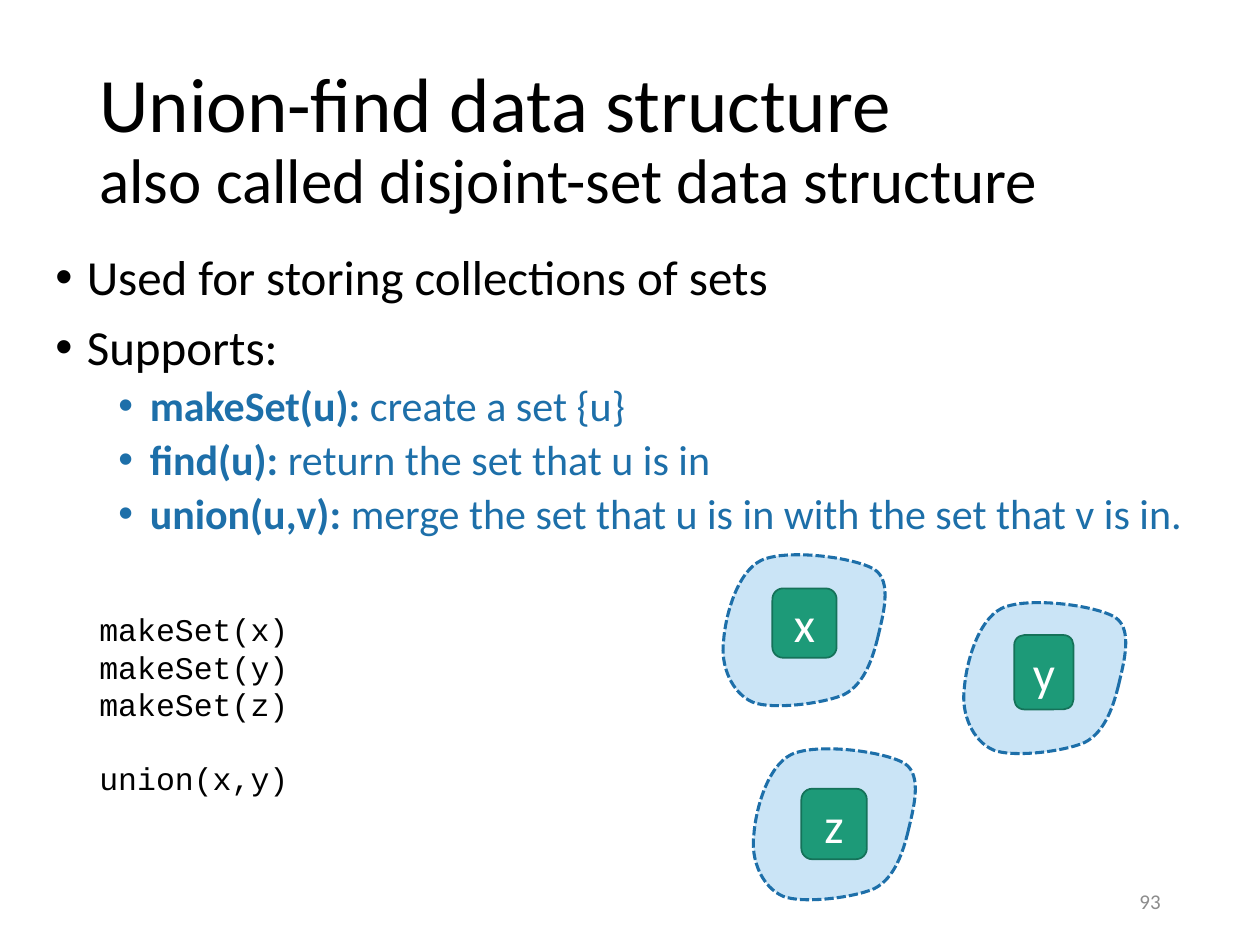
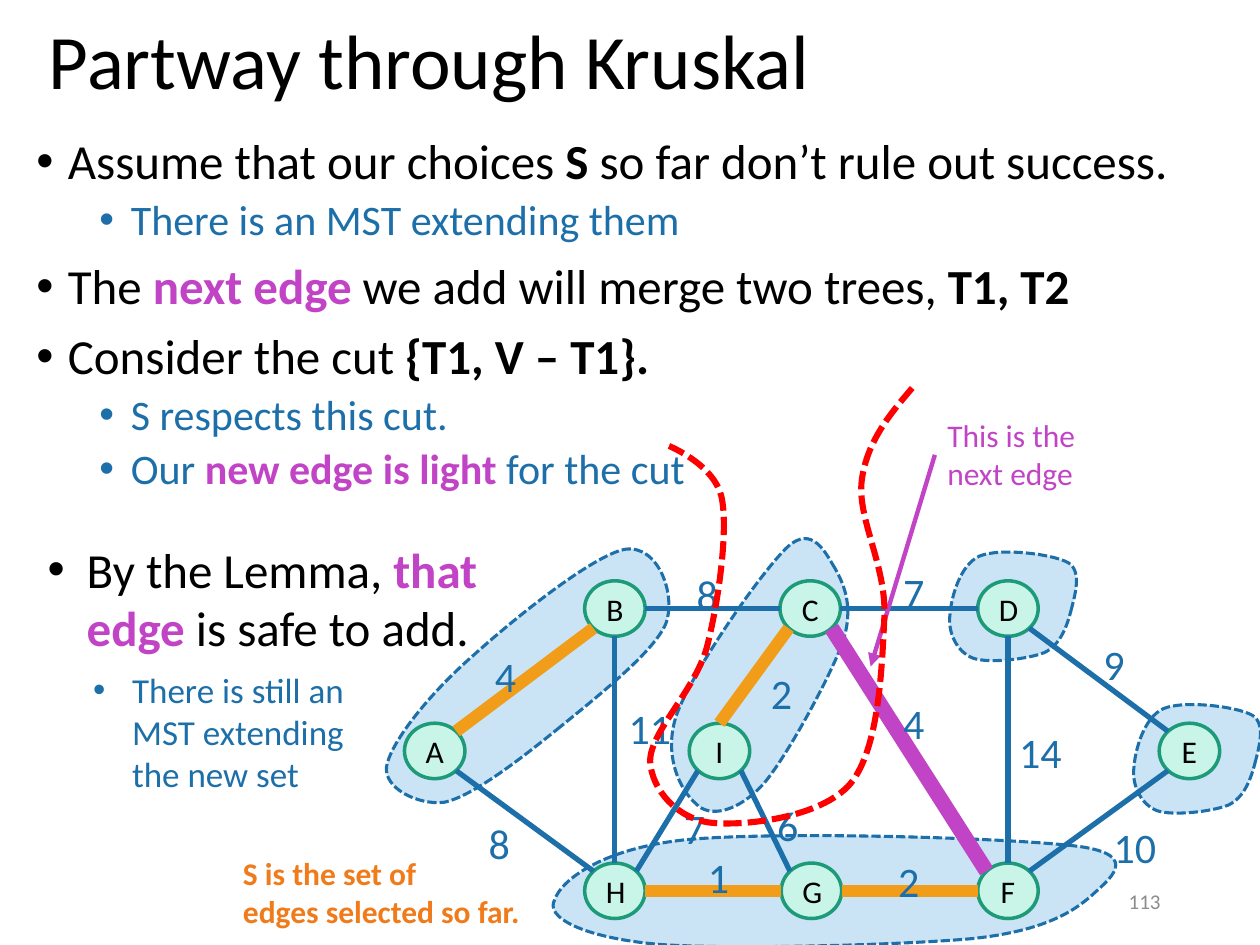
from lxml import etree
from pptx import Presentation
from pptx.dml.color import RGBColor
from pptx.enum.dml import MSO_LINE
from pptx.enum.shapes import MSO_CONNECTOR, MSO_SHAPE
from pptx.enum.text import MSO_ANCHOR, PP_ALIGN
from pptx.oxml.ns import qn
from pptx.util import Inches, Pt

BLACK = RGBColor(0x00, 0x00, 0x00)
WHITE = RGBColor(0xFF, 0xFF, 0xFF)
GRAY = RGBColor(0x8C, 0x8C, 0x8C)
BLUE = RGBColor(0x1D, 0x6F, 0xA9)
PALE_BLUE = RGBColor(0xCA, 0xE4, 0xF6)
GREEN = RGBColor(0x1D, 0x9A, 0x78)
DARK_GREEN = RGBColor(0x15, 0x72, 0x59)
MINT = RGBColor(0xC8, 0xF5, 0xE8)
PURPLE = RGBColor(0xC2, 0x44, 0xC6)
GOLD = RGBColor(0xF1, 0x9D, 0x19)
ORANGE = RGBColor(0xF0, 0x7B, 0x1A)
RED = RGBColor(0xFF, 0x00, 0x00)

SANS, MONO = "Calibri", "Courier New"
SHORT_DASH = MSO_LINE.SQUARE_DOT
STRAIGHT = MSO_CONNECTOR.STRAIGHT
ELLIPSE, ROUNDED = MSO_SHAPE.OVAL, MSO_SHAPE.ROUNDED_RECTANGLE
MIDDLE, TOP = MSO_ANCHOR.MIDDLE, MSO_ANCHOR.TOP
LEFT, CENTER, RIGHT = PP_ALIGN.LEFT, PP_ALIGN.CENTER, PP_ALIGN.RIGHT

# The slide is a grid of 10 columns and 7.5 rows of square cells.
COLUMNS, ROWS, CELL = 10, 7.5, Inches(1)

# Start point, then three control points for each curve, as shares of a box.
SET_OUTLINE = [
    (0.96, 0.54),
    (0.99, 0.40), (1.05, 0.18), (0.94, 0.10),
    (0.82, 0.02), (0.40, -0.04), (0.24, 0.04),
    (0.09, 0.12), (0.02, 0.41), (0.01, 0.57),
    (-0.01, 0.73), (0.06, 0.91), (0.19, 0.97),
    (0.31, 1.02), (0.62, 0.98), (0.75, 0.92),
    (0.88, 0.85), (0.93, 0.67), (0.96, 0.54),
]
# The same order, in columns and rows of the slide.
CUT_BOX = (5.16, 3.08, 2.08, 3.46)
CUT_CURVE = [
    (7.24, 3.08),
    (7.06, 3.29), (6.88, 3.51), (6.84, 3.81),
    (6.80, 4.11), (7.03, 4.48), (7.02, 4.88),
    (7.00, 5.29), (6.98, 5.94), (6.75, 6.22),
    (6.52, 6.49), (5.91, 6.56), (5.64, 6.53),
    (5.38, 6.50), (5.17, 6.27), (5.16, 6.04),
    (5.16, 5.81), (5.51, 5.49), (5.61, 5.14),
    (5.70, 4.79), (5.78, 4.23), (5.73, 3.96),
    (5.68, 3.69), (5.31, 3.54), (5.31, 3.54),
]

NODE_WIDTH, NODE_HEIGHT = 0.48, 0.44
UPPER, MID, LOWER = 4.83, 5.96, 7.07
NODES = {
    "D": (8, UPPER), "C": (6.43, UPPER), "B": (4.88, UPPER),
    "A": (3.45, MID), "H": (4.88, LOWER), "G": (6.44, LOWER),
    "F": (8, LOWER), "I": (5.71, MID), "E": (9.44, MID),
}
DIAGONAL = 0.71
SIDES = {
    "n": (0, -1), "s": (0, 1), "w": (-1, 0), "e": (1, 0),
    "nw": (-DIAGONAL, -DIAGONAL), "ne": (DIAGONAL, -DIAGONAL),
    "sw": (-DIAGONAL, DIAGONAL), "se": (DIAGONAL, DIAGONAL),
}
PLAIN_EDGE, CHOSEN_EDGE, NEXT_EDGE = (BLUE, 3), (GOLD, 7), (PURPLE, 8.75)
EDGES = [
    ("C", "se", "F", "nw", NEXT_EDGE),
    ("C", "e", "D", "w", PLAIN_EDGE),
    ("E", "nw", "D", "se", PLAIN_EDGE),
    ("E", "sw", "F", "ne", PLAIN_EDGE),
    ("D", "s", "F", "n", PLAIN_EDGE),
    ("I", "se", "G", "nw", PLAIN_EDGE),
    ("G", "e", "F", "w", CHOSEN_EDGE),
    ("I", "n", "C", "sw", CHOSEN_EDGE),
    ("B", "e", "C", "w", PLAIN_EDGE),
    ("A", "ne", "B", "sw", CHOSEN_EDGE),
    ("A", "se", "H", "nw", PLAIN_EDGE),
    ("G", "w", "H", "e", CHOSEN_EDGE),
    ("I", "sw", "H", "ne", PLAIN_EDGE),
    ("H", "n", "B", "s", PLAIN_EDGE),
]
WEIGHTS = [
    ("7", 7.07, 4.45), ("9", 8.66, 5.02), ("10", 8.74, 6.47),
    ("14", 7.99, 5.72), ("4", 7.07, 5.49), ("2", 7.03, 6.74),
    ("2", 6.02, 5.25), ("1", 5.52, 6.71), ("7", 5.33, 6.32),
    ("6", 6.07, 6.30), ("8", 3.78, 6.44), ("11", 4.89, 5.53),
    ("8", 5.43, 4.46), ("4", 3.83, 5.11),
]


def cells(*lengths):
    return [round(length * CELL) for length in lengths]


def add_bullet(para, margin, hang):
    props = para._p.get_or_add_pPr()
    props.set("marL", str(round(margin * CELL)))
    props.set("indent", str(round(-hang * CELL)))
    etree.SubElement(props, qn("a:buFont")).set("typeface", "Arial")
    etree.SubElement(props, qn("a:buChar")).set("char", "•")


def fill_paragraph(para, content, size, color, bold=None, font=SANS):
    """Write a string, or a list of strings and (text, color) bold spans."""
    para.font.name, para.font.size = font, Pt(size)
    para.font.bold = bold
    para.font.color.rgb = color
    for part in [content] if isinstance(content, str) else content:
        span = para.add_run()
        if isinstance(part, str):
            span.text = part
        else:
            span.text, span.font.color.rgb = part
            span.font.bold = True


def add_text_box(page, box, anchor=TOP):
    frame = page.shapes.add_textbox(*cells(*box)).text_frame
    frame.word_wrap = True
    frame.vertical_anchor = anchor
    return frame


def add_text(page, box, content, size, color, bold=None, align=LEFT, anchor=TOP):
    para = add_text_box(page, box, anchor).paragraphs[0]
    para.alignment = align
    fill_paragraph(para, content, size, color, bold)
    return para


def add_title(page, box, title, subtitle=None):
    para = add_text(page, box, title, 44, BLACK, anchor=MIDDLE)
    para.line_spacing = 0.9
    if subtitle:
        para.add_line_break()
        span = para.add_run()
        span.text = subtitle
        span.font.size = Pt(36)


def add_page_number(page, number):
    add_text(page, (7.06, 6.95, 2.25, 0.4), number, 12, GRAY,
             align=RIGHT, anchor=MIDDLE)


def add_outline(page, box, items):
    """Add two-level bullets from (level, content) items."""
    frame = add_text_box(page, box)
    for index, (level, content) in enumerate(items):
        para = frame.add_paragraph() if index else frame.paragraphs[0]
        para.level = level
        add_bullet(para, 0.25 + 0.5 * level, 0.25)
        para.line_spacing = 0.9
        if index:
            para.space_before = Pt(5 if level else 10)
        fill_paragraph(para, content, 24 if level else 28, BLUE if level else BLACK)


def add_conclusion(page, box, content, size, color):
    para = add_text_box(page, box).paragraphs[0]
    add_bullet(para, 0.31, 0.31)
    fill_paragraph(para, content, size, color)


def add_code(page, box, blocks):
    """Add code lines, with an empty line's height between blocks."""
    frame = add_text_box(page, box)
    para = frame.paragraphs[0]
    for number, block in enumerate(blocks):
        for row, line in enumerate(block):
            if number or row:
                para = frame.add_paragraph()
            if number and not row:
                para.space_before = Pt(20.4)
            fill_paragraph(para, line, 18, BLACK, font=MONO)


def add_labelled_shape(page, kind, box, label, size, ink, fill, edge, weight):
    shape = page.shapes.add_shape(kind, *cells(*box))
    shape.shadow.inherit = False
    shape.fill.solid()
    shape.fill.fore_color.rgb = fill
    shape.line.color.rgb = edge
    shape.line.width = Pt(weight)
    shape.text_frame.vertical_anchor = MIDDLE
    para = shape.text_frame.paragraphs[0]
    para.alignment = CENTER
    fill_paragraph(para, label, size, ink)


def add_path_step(outline, tag, points):
    step = etree.SubElement(outline, qn(tag))
    for x, y in points:
        point = etree.SubElement(step, qn("a:pt"))
        point.set("x", str(x))
        point.set("y", str(y))


def bend_outline(shape, box, points):
    """Fit the shape to its box and replace its straight sides by cubic curves."""
    left, top, width, height = cells(*box)
    shape.left, shape.top, shape.width, shape.height = left, top, width, height
    local = [(x - left, y - top) for x, y in points]
    outline = next(shape._element.iter(qn("a:path")))
    closing = outline.findall(qn("a:close"))
    for step in list(outline):
        outline.remove(step)
    outline.set("w", str(width))
    outline.set("h", str(height))
    add_path_step(outline, "a:moveTo", local[:1])
    for first in range(1, len(local), 3):
        add_path_step(outline, "a:cubicBezTo", local[first:first + 3])
    outline.extend(closing)


def add_dashed_curve(page, box, points, color, weight, fill=None):
    points = [cells(*point) for point in points]
    builder = page.shapes.build_freeform(*points[0])
    builder.add_line_segments(points[3::3], close=fill is not None)
    shape = builder.convert_to_shape()
    bend_outline(shape, box, points)
    shape.shadow.inherit = False
    if fill is None:
        shape.fill.background()
    else:
        shape.fill.solid()
        shape.fill.fore_color.rgb = fill
    shape.line.color.rgb = color
    shape.line.width = Pt(weight)
    shape.line.dash_style = SHORT_DASH
    return shape


def add_set(page, box, rotation=0):
    left, top, width, height = box
    points = [(left + x * width, top + y * height) for x, y in SET_OUTLINE]
    add_dashed_curve(page, box, points, BLUE, 1.75, PALE_BLUE).rotation = rotation


def add_line(page, start, end, color, weight, arrow=False):
    line = page.shapes.add_connector(STRAIGHT, *cells(*start, *end))
    line.line.color.rgb = color
    line.line.width = Pt(weight)
    props = line._element.spPr
    if arrow:
        etree.SubElement(props.find(qn("a:ln")), qn("a:tailEnd")).set("type", "triangle")
    etree.SubElement(props, qn("a:effectLst"))


def node_side(name, side):
    (x, y), (across, down) = NODES[name], SIDES[side]
    return x + across * NODE_WIDTH / 2, y + down * NODE_HEIGHT / 2


def add_graph(page):
    for name, (x, y) in NODES.items():
        box = (x - NODE_WIDTH / 2, y - NODE_HEIGHT / 2, NODE_WIDTH, NODE_HEIGHT)
        add_labelled_shape(page, ELLIPSE, box, name, 18, BLACK, MINT, GREEN, 2)
    for start, start_side, end, end_side, style in EDGES:
        add_line(page, node_side(start, start_side), node_side(end, end_side), *style)
    for weight, left, top in WEIGHTS:
        add_text(page, (left, top, 0.67, 0.36), weight, 24, BLUE)


def build_union_find(page):
    for left, top in ((7.64, 4.78), (5.97, 5.94), (5.73, 4.4)):
        add_set(page, (left, top, 1.29, 1.21))
    add_title(page, (0.69, 0.4, 8.62, 1.45), "Union-find data structure",
              "also called disjoint-set data structure")
    add_outline(page, (0.34, 1.96, 9.31, 4.76), [
        (0, "Used for storing collections of sets"),
        (0, "Supports:"),
        (1, [("makeSet(u): ", BLUE), "create a set {u}"]),
        (1, [("find(u): ", BLUE), "return the set that u is in"]),
        (1, [("union(u,v): ", BLUE),
             "merge the set that u is in with the set that v is in."]),
    ])
    add_code(page, (0.69, 4.79, 3.93, 2.22),
             [["makeSet(x)", "makeSet(y)", "makeSet(z)"], ["union(x,y)"]])
    for label, box in (("x", (6.13, 4.67, 0.51, 0.55)),
                       ("y", (8.05, 5.04, 0.47, 0.59)),
                       ("z", (6.36, 6.26, 0.52, 0.56))):
        add_labelled_shape(page, ROUNDED, box, label, 28, WHITE, GREEN, DARK_GREEN, 1)
    add_page_number(page, "93")


def build_kruskal(page):
    add_title(page, (0.29, -0.21, 9.78, 1.45), "Partway through Kruskal")
    add_outline(page, (0.19, 1.04, 9.34, 4.76), [
        (0, ["Assume that our choices ", ("S", BLACK), " so far don’t rule out success."]),
        (1, "There is an MST extending them"),
        (0, ["The ", ("next edge ", PURPLE), "we add will merge two trees, ",
             ("T1, T2", BLACK)]),
        (0, ["Consider the cut ", ("{T1, V – T1}.", BLACK)]),
        (1, "S respects this cut."),
        (1, ["Our ", ("new edge is light ", PURPLE), "for the cut"]),
    ])
    for box, rotation in (((8.99, 5.59, 1.01, 0.87), 0), ((7.53, 4.38, 1.01, 0.87), 0),
                          ((4.91, 4.92, 2.28, 0.94), 301.5),
                          ((3.74, 4.03, 0.93, 2.75), 46.6), ((4.36, 6.63, 4.48, 0.89), 0)):
        add_set(page, box, rotation)
    add_graph(page)
    legend = add_text_box(page, (1.83, 6.73, 2.51, 0.71))
    fill_paragraph(legend.paragraphs[0], "S is the set of", 18, ORANGE, True)
    fill_paragraph(legend.add_paragraph(), "edges selected so far.", 18, ORANGE, True)
    add_text(page, (7.42, 3.25, 1.4, 0.71), "This is the next edge", 18, PURPLE)
    add_line(page, (7.42, 3.61), (6.91, 5.29), PURPLE, 2.5, arrow=True)
    add_dashed_curve(page, CUT_BOX, CUT_CURVE, RED, 3.5)
    add_conclusion(page, (0.28, 4.23, 3.8, 1.04),
                   ["By the Lemma, ", ("that edge ", PURPLE), "is safe to add."], 28, BLACK)
    add_conclusion(page, (0.64, 5.26, 2.29, 1.11),
                   "There is still an MST extending the new set", 20, BLUE)
    add_page_number(page, "113")


def main():
    deck = Presentation()
    deck.slide_width, deck.slide_height = cells(COLUMNS, ROWS)
    blank = deck.slide_layouts[6]
    for build in (build_union_find, build_kruskal):
        build(deck.slides.add_slide(blank))
    deck.save("out.pptx")


if __name__ == "__main__":
    main()
